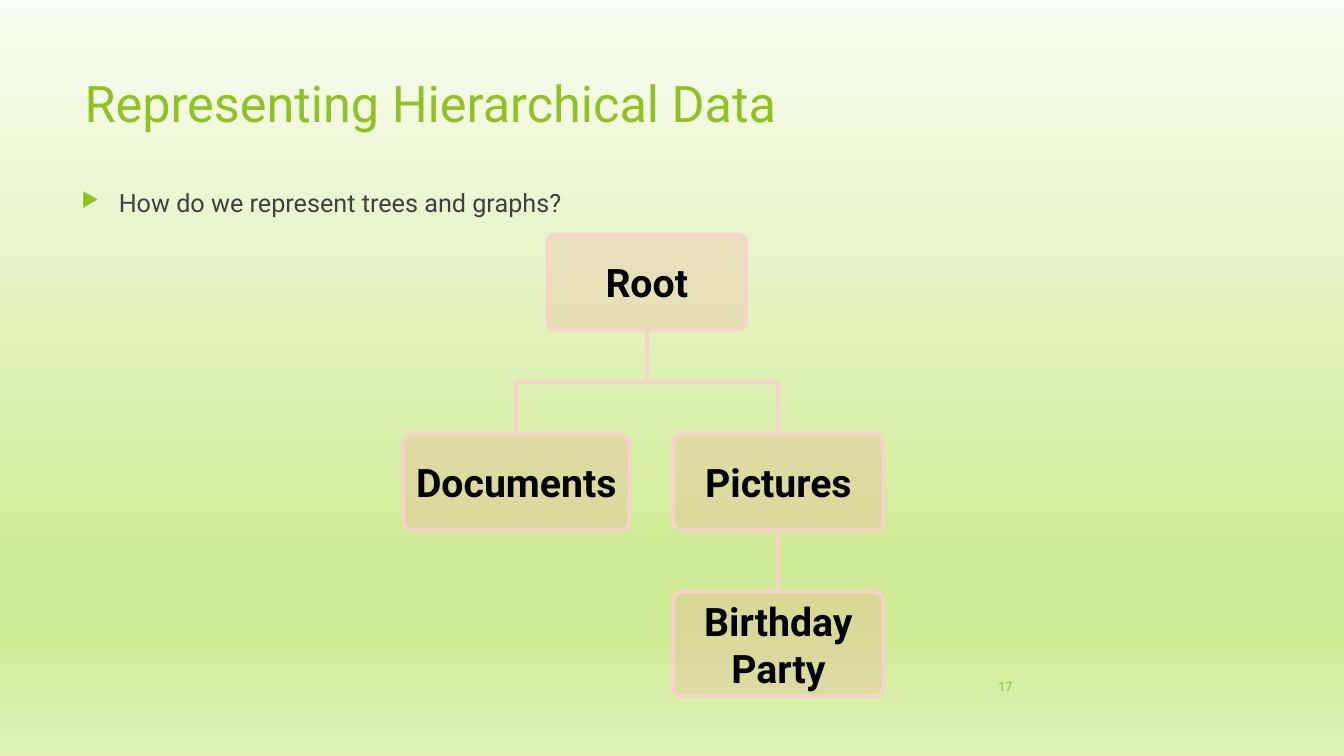
from lxml import etree
from pptx import Presentation
from pptx import util as u
from pptx.dml.color import RGBColor
from pptx.enum import shapes, text
from pptx.oxml import ns

COLORS = {
    "accent": "90C226",
    "body": "404040",
    "label": "000000",
    "node": "F2A499",
    "edge": "F8D2CC",
}
BACKGROUND = [(0, "FAFDF3"), (74, "D0EB96"), (83, "D0EB96"), (100, "DFF1B9")]
ALIGN = text.PP_ALIGN
ANCHOR = text.MSO_ANCHOR


def add_child(parent, tag, **attributes):
    child = etree.SubElement(parent, ns.qn(tag))
    for key, value in attributes.items():
        child.set(key, str(value))
    return child


def write(frame, wording, size=18, color="body", bold=False, align=ALIGN.LEFT,
          anchor=ANCHOR.TOP, inset=0.1, bullet=None, indent=0):
    """Put one formatted paragraph into a text frame."""
    frame.word_wrap = True
    frame.vertical_anchor = anchor
    frame.margin_left = frame.margin_right = u.Inches(inset)
    para = frame.paragraphs[0]
    para.alignment = align
    if bullet:
        properties = para._p.get_or_add_pPr()
        properties.set("marL", str(u.Inches(indent)))
        properties.set("indent", str(-u.Inches(indent)))
        add_child(add_child(properties, "a:buClr"), "a:srgbClr", val=COLORS["accent"])
        add_child(properties, "a:buSzPct", val=80000)
        add_child(properties, "a:buChar", char=bullet)
    span = para.add_run()
    span.text = wording
    span.font.name = "Roboto"
    span.font.size = u.Pt(size)
    span.font.bold = bold
    span.font.color.rgb = RGBColor.from_string(COLORS[color])


class TreeSlide:
    def __init__(self, deck):
        self.page = deck.slides.add_slide(deck.slide_layouts[6])
        self.line_width = u.Pt(2.63)

    def background(self, stops):
        fill = self.page.background.fill
        fill.gradient()
        fill.gradient_angle = 270
        stop_list = self.page.element.find(".//" + ns.qn("a:gsLst"))
        for old_stop in list(stop_list):
            stop_list.remove(old_stop)
        for percent, color in stops:
            stop = add_child(stop_list, "a:gs", pos=percent * 1000)
            add_child(stop, "a:srgbClr", val=color)

    def text(self, left, top, width, height, wording, **style):
        box = self.page.shapes.add_textbox(*map(u.Inches, (left, top, width, height)))
        write(box.text_frame, wording, **style)

    def outline(self, shape):
        shape.line.color.rgb = RGBColor.from_string(COLORS["edge"])
        shape.line.width = self.line_width

    def node(self, left, top, width, height, wording, corner):
        box = self.page.shapes.add_shape(
            shapes.MSO_SHAPE.ROUNDED_RECTANGLE,
            *map(u.Inches, (left, top, width, height)))
        box.adjustments[0] = corner
        box.shadow.inherit = False
        box.fill.solid()
        box.fill.fore_color.rgb = RGBColor.from_string(COLORS["node"])
        tint = box._element.spPr.find(ns.qn("a:solidFill"))[0]
        add_child(tint, "a:alpha", val=25000)
        self.outline(box)
        write(box.text_frame, wording, size=28, color="label", bold=True,
              align=ALIGN.CENTER, anchor=ANCHOR.MIDDLE, inset=0.05)

    def elbow(self, start_x, start_y, end_x, end_y):
        middle = (start_y + end_y) / 2
        builder = self.page.shapes.build_freeform(u.Inches(start_x), u.Inches(start_y))
        corners = [(start_x, middle), (end_x, middle), (end_x, end_y)]
        builder.add_line_segments(
            [(u.Inches(x), u.Inches(y)) for x, y in corners], close=False)
        branch = builder.convert_to_shape()
        branch.shadow.inherit = False
        branch.fill.background()
        self.outline(branch)

    def straight(self, x, top, bottom):
        link = self.page.shapes.add_connector(
            shapes.MSO_CONNECTOR.STRAIGHT, *map(u.Inches, (x, top, x, bottom)))
        self.outline(link)
        add_child(link._element.spPr, "a:effectLst")


def main():
    deck = Presentation()
    deck.slide_width, deck.slide_height = u.Inches(13.33), u.Inches(7.5)
    slide = TreeSlide(deck)
    slide.background(BACKGROUND)

    # Title, question and slide number
    slide.text(0.74, 0.67, 9.4, 1.44, "Representing Hierarchical Data",
               size=36, color="accent")
    slide.text(0.71, 1.81, 9.4, 4.24, "How do we represent trees and graphs?",
               bullet="▶", indent=0.37)
    slide.text(9.39, 6.61, 0.75, 0.4, "17", size=9, color="accent",
               align=ALIGN.RIGHT, anchor=ANCHOR.MIDDLE)

    # Tree links
    root_x, documents_x, pictures_x = 6.42, 5.12, 7.72
    for child_x in (documents_x, pictures_x):
        slide.elbow(root_x, 3.27, child_x, 4.31)
    slide.straight(pictures_x, 5.26, 5.87)

    # Tree nodes
    slide.node(5.43, 2.33, 1.97, 0.94, "Root", 0.08)
    slide.node(4, 4.31, 2.24, 0.95, "Documents", 0.1)
    slide.node(6.68, 4.31, 2.08, 0.95, "Pictures", 0.09)
    slide.node(6.68, 5.87, 2.08, 1.04, "Birthday Party", 0.08)

    deck.save("out.pptx")


if __name__ == "__main__":
    main()
